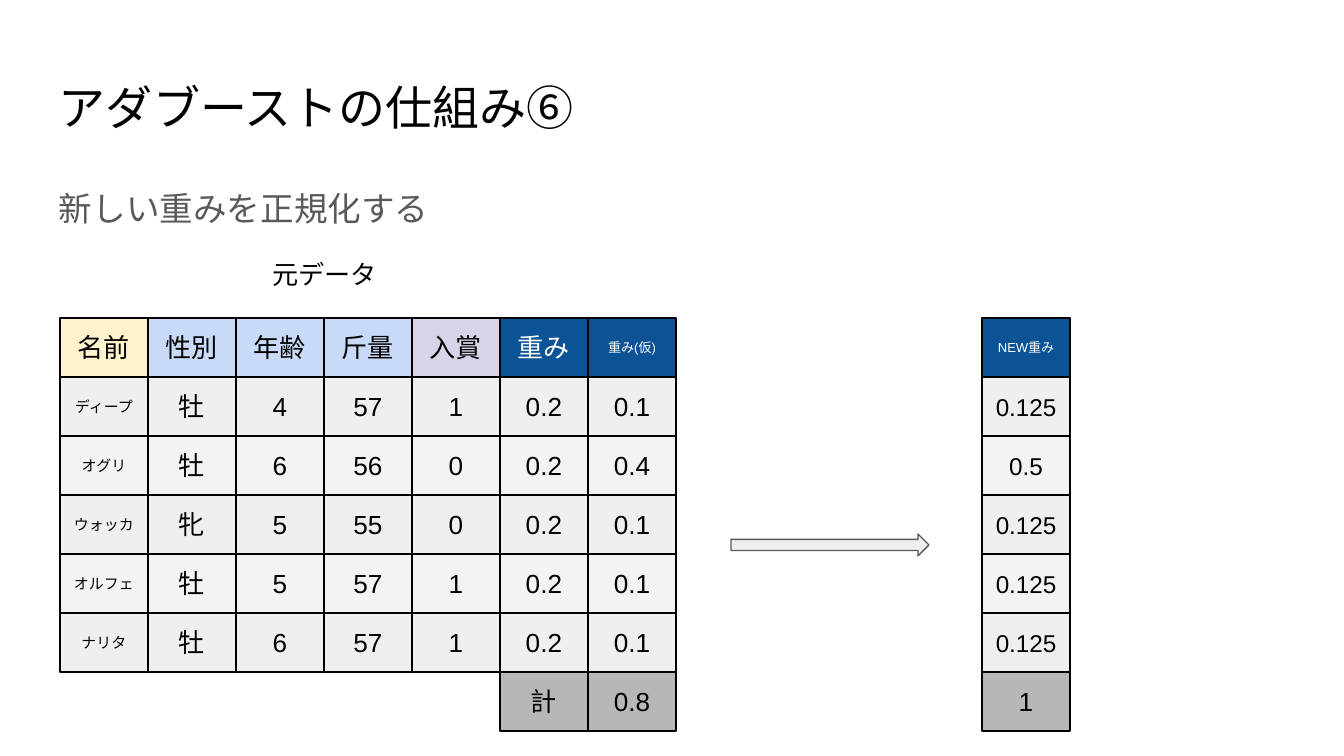
from dataclasses import dataclass

from pptx import Presentation, util as u
from pptx.dml.color import RGBColor
from pptx.enum import shapes, text

EMU_PER_PX = 914400 / 134.4


@dataclass(frozen=True)
class Theme:
    font: str = "Arial"
    ink: str = "000000"
    muted: str = "595959"
    white: str = "FFFFFF"
    name_head: str = "FFF2CC"
    feature_head: str = "C9DAF8"
    target_head: str = "D9D2E9"
    weight_head: str = "0B5394"
    bands: tuple[str, str] = ("EFEFEF", "F3F3F3")
    total: str = "B7B7B7"
    arrow: str = "EEEEEE"
    title_pt: float = 25.2
    subtitle_pt: float = 18
    cell_pt: float = 14
    new_weight_pt: float = 13
    name_pt: float = 8
    small_head_pt: float = 7
    line_pt: float = 0.75


THEME = Theme()
CELL_W, CELL_H = 88, 59
TABLE_LEFT, TABLE_TOP = 60, 318
NEW_WEIGHT_LEFT = 982
INSET = 13


@dataclass(frozen=True)
class Box:
    left: int
    top: int
    width: int
    height: int


@dataclass(frozen=True)
class Label:
    words: str
    size: float = THEME.cell_pt
    color: str = THEME.ink
    align: text.PP_ALIGN = text.PP_ALIGN.CENTER
    anchor: text.MSO_ANCHOR = text.MSO_ANCHOR.TOP
    line_spacing: float = 1.0


@dataclass(frozen=True)
class Column:
    left: int
    head: str
    head_fill: str
    values: tuple[str, ...]
    total: str = ""
    size: float = THEME.cell_pt
    head_size: float = THEME.cell_pt
    head_color: str = THEME.ink


def px(length: int) -> u.Emu:
    return u.Emu(round(length * EMU_PER_PX))


def place(box: Box) -> tuple[u.Emu, ...]:
    return px(box.left), px(box.top), px(box.width), px(box.height)


def write(frame, label: Label) -> None:
    frame.word_wrap = True
    frame.vertical_anchor = label.anchor
    frame.margin_left = frame.margin_right = px(INSET)
    frame.margin_top = frame.margin_bottom = px(INSET)
    paragraph = frame.paragraphs[0]
    paragraph.alignment = label.align
    paragraph.line_spacing = label.line_spacing
    run = paragraph.add_run()
    run.text = label.words
    run.font.name = THEME.font
    run.font.size = u.Pt(label.size)
    run.font.color.rgb = RGBColor.from_string(label.color)


def add_text(slide, box: Box, label: Label) -> None:
    write(slide.shapes.add_textbox(*place(box)).text_frame, label)


def add_outlined(slide, kind: shapes.MSO_SHAPE, box: Box, fill: str, line: str):
    shape = slide.shapes.add_shape(kind, *place(box))
    shape.shadow.inherit = False
    shape.fill.solid()
    shape.fill.fore_color.rgb = RGBColor.from_string(fill)
    shape.line.color.rgb = RGBColor.from_string(line)
    shape.line.width = u.Pt(THEME.line_pt)
    return shape


def add_cell(slide, left: int, row: int, words: str, fill: str,
             size: float = THEME.cell_pt, color: str = THEME.ink) -> None:
    box = Box(left, TABLE_TOP + row * CELL_H, CELL_W, CELL_H)
    cell = add_outlined(slide, shapes.MSO_SHAPE.RECTANGLE, box, fill, THEME.ink)
    write(cell.text_frame, Label(words, size, color, anchor=text.MSO_ANCHOR.MIDDLE))


def add_column(slide, column: Column) -> None:
    """Draw the head, the banded values and, if there is one, the total."""
    for row, value in enumerate(column.values, start=1):
        add_cell(slide, column.left, row, value, THEME.bands[(row - 1) % 2], column.size)
    add_cell(slide, column.left, 0, column.head, column.head_fill,
             column.head_size, column.head_color)
    if column.total:
        add_cell(slide, column.left, len(column.values) + 1, column.total, THEME.total)


def nth_left(index: int) -> int:
    return TABLE_LEFT + index * CELL_W


COLUMNS = (
    Column(nth_left(0), "名前", THEME.name_head,
           ("ディープ", "オグリ", "ウォッカ", "オルフェ", "ナリタ"), size=THEME.name_pt),
    Column(nth_left(1), "性別", THEME.feature_head, ("牡", "牡", "牝", "牡", "牡")),
    Column(nth_left(2), "年齢", THEME.feature_head, ("4", "6", "5", "5", "6")),
    Column(nth_left(3), "斤量", THEME.feature_head, ("57", "56", "55", "57", "57")),
    Column(nth_left(4), "入賞", THEME.target_head, ("1", "0", "0", "1", "1")),
    Column(nth_left(5), "重み", THEME.weight_head, ("0.2",) * 5, "計",
           head_color=THEME.white),
    Column(nth_left(6), "重み(仮)", THEME.weight_head,
           ("0.1", "0.4", "0.1", "0.1", "0.1"), "0.8",
           head_size=THEME.small_head_pt, head_color=THEME.white),
    Column(NEW_WEIGHT_LEFT, "NEW重み", THEME.weight_head,
           ("0.125", "0.5", "0.125", "0.125", "0.125"), "1",
           size=THEME.new_weight_pt, head_size=THEME.small_head_pt,
           head_color=THEME.white),
)


def main() -> None:
    deck = Presentation()
    deck.slide_width, deck.slide_height = px(1344), px(756)
    slide = deck.slides.add_slide(deck.slide_layouts[6])

    add_text(slide, Box(46, 66, 1253, 84),
             Label("アダブーストの仕組み⑥", THEME.title_pt, align=text.PP_ALIGN.LEFT))
    for column in COLUMNS:
        add_column(slide, column)
    add_text(slide, Box(237, 245, 175, 59), Label("元データ"))
    add_outlined(slide, shapes.MSO_SHAPE.RIGHT_ARROW, Box(731, 534, 198, 22),
                 THEME.arrow, THEME.muted)
    add_text(slide, Box(46, 169, 1253, 503),
             Label("新しい重みを正規化する", THEME.subtitle_pt, THEME.muted,
                   text.PP_ALIGN.LEFT, line_spacing=1.15))

    deck.save("out.pptx")


if __name__ == "__main__":
    main()
